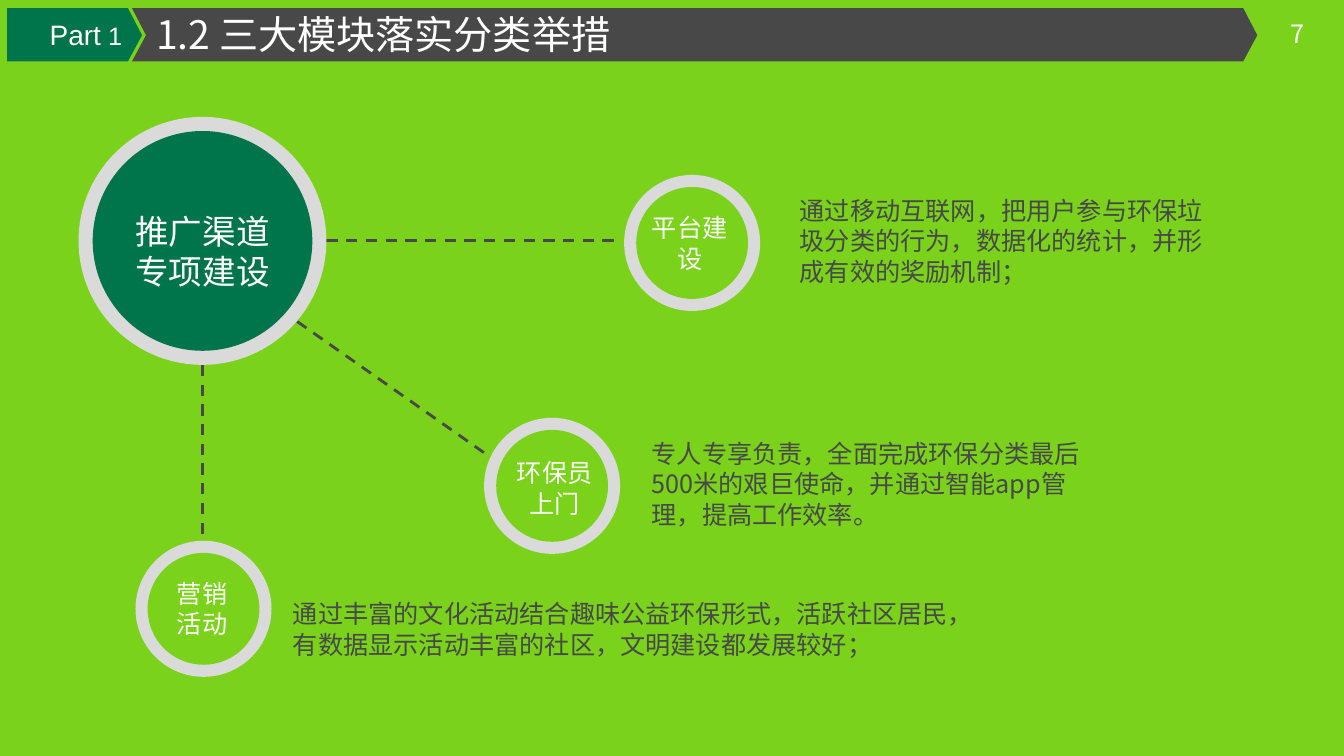
from pptx import Presentation
from pptx.dml.color import RGBColor
from pptx.enum.dml import MSO_LINE
from pptx.enum.shapes import MSO_CONNECTOR, MSO_SHAPE
from pptx.enum.text import PP_ALIGN as ALIGN
from pptx.oxml.ns import qn
from pptx.util import Inches, Pt
from lxml.etree import SubElement

CJK = "Noto Sans CJK SC"
LIME, GREEN, GRAY, RING, WHITE = "7AD31A", "00744B", "484849", "DADADB", "FFFFFF"

presentation = Presentation()
presentation.slide_width, presentation.slide_height = Inches(13.34), Inches(7.5)
slide = presentation.slides.add_slide(presentation.slide_layouts[6])
slide.background.fill.solid()
slide.background.fill.fore_color.rgb = RGBColor.from_string(LIME)


def paint(shape, color):
    shape.shadow.inherit = False
    shape.fill.solid()
    shape.fill.fore_color.rgb = RGBColor.from_string(color)
    shape.line.fill.background()


def add_text(box, paragraphs, color=WHITE, align=ALIGN.LEFT, font=CJK, wrap=True):
    """Each paragraph is a list of (text, size) runs."""
    frame = slide.shapes.add_textbox(*map(Inches, box)).text_frame
    frame.word_wrap = wrap
    for index, runs in enumerate(paragraphs):
        paragraph = frame.add_paragraph() if index else frame.paragraphs[0]
        paragraph.alignment = align
        for text, size in runs:
            run = paragraph.add_run()
            run.text = text
            run.font.name, run.font.size = font, Pt(size)
            run.font.color.rgb = RGBColor.from_string(color)
            SubElement(run.font._element, qn("a:ea")).set("typeface", font)


# Header bars
title_bar = [(1.31, 0.08), (12.34, 0.08), (12.48, 0.35), (12.34, 0.61), (1.31, 0.61), (1.45, 0.35)]
part_bar = [(0.07, 0.08), (1.27, 0.08), (1.41, 0.35), (1.27, 0.61), (0.07, 0.61)]
for outline, color in [(title_bar, GRAY), (part_bar, GREEN)]:
    points = [(Inches(x), Inches(y)) for x, y in outline]
    builder = slide.shapes.build_freeform(*points[0])
    builder.add_line_segments(points[1:], close=True)
    paint(builder.convert_to_shape(), color)

# Header text
add_text((12.61, 0.13, 0.54, 0.4), [[("7", 18)]], align=ALIGN.CENTER, wrap=False)
add_text((1.45, 0.05, 5.51, 0.6), [[("1.2 三大模块落实分类举措", 28)]])
add_text((0.15, 0.12, 1.16, 0.44), [[("Part", 20), (" 1", 18)]], align=ALIGN.RIGHT, font="Arial")

# Dashed links from the hub to the modules
for ends in [(3.24, 2.39, 6.12, 2.39), (2.95, 3.19, 4.86, 4.53), (2.01, 3.62, 2.01, 5.37)]:
    link = slide.shapes.add_connector(MSO_CONNECTOR.STRAIGHT, *map(Inches, ends))
    link.line.color.rgb = RGBColor.from_string(GRAY)
    link.line.width = Pt(0)
    link.line.dash_style = MSO_LINE.DASH
    SubElement(link._element.spPr, qn("a:effectLst"))

# Hub and module circles: centre, outer and inner diameter, inner colour
circles = [
    (2.01, 2.39, 2.46, 2.18, GREEN),
    (6.87, 2.41, 1.35, 1.11, LIME),
    (5.48, 4.82, 1.35, 1.11, LIME),
    (2.02, 6.04, 1.35, 1.11, LIME),
]
for x, y, outer, inner, color in circles:
    for diameter, fill in [(outer, RING), (inner, color)]:
        circle = slide.shapes.add_shape(
            MSO_SHAPE.OVAL, Inches(x - diameter / 2), Inches(y - diameter / 2),
            Inches(diameter), Inches(diameter))
        paint(circle, fill)

# Circle labels
labels = [
    ((1.2, 2.04, 1.62, 0.93), 24, ["推广渠道专项建设"]),
    ((6.37, 2.06, 0.95, 0.72), 18, ["平台建设"]),
    ((4.98, 4.49, 1.05, 0.72), 18, ["环保员上门"]),
    ((1.53, 5.69, 0.95, 0.72), 18, ["营销", "活动"]),
]
for box, size, lines in labels:
    add_text(box, [[(line, size)] for line in lines], align=ALIGN.CENTER)

# Module descriptions
descriptions = [
    ((7.84, 1.89, 4.33, 1.02),
     "通过移动互联网，把用户参与环保垃圾分类的行为，数据化的统计，并形成有效的奖励机制；"),
    ((6.37, 4.3, 4.47, 1.02),
     "专人专享负责，全面完成环保分类最后500米的艰巨使命，并通过智能app管理，提高工作效率。"),
    ((2.81, 5.89, 6.7, 0.72),
     "通过丰富的文化活动结合趣味公益环保形式，活跃社区居民，有数据显示活动丰富的社区，文明建设都发展较好；"),
]
for box, text in descriptions:
    add_text(box, [[(text, 18)]], color=GRAY)

presentation.save("out.pptx")
